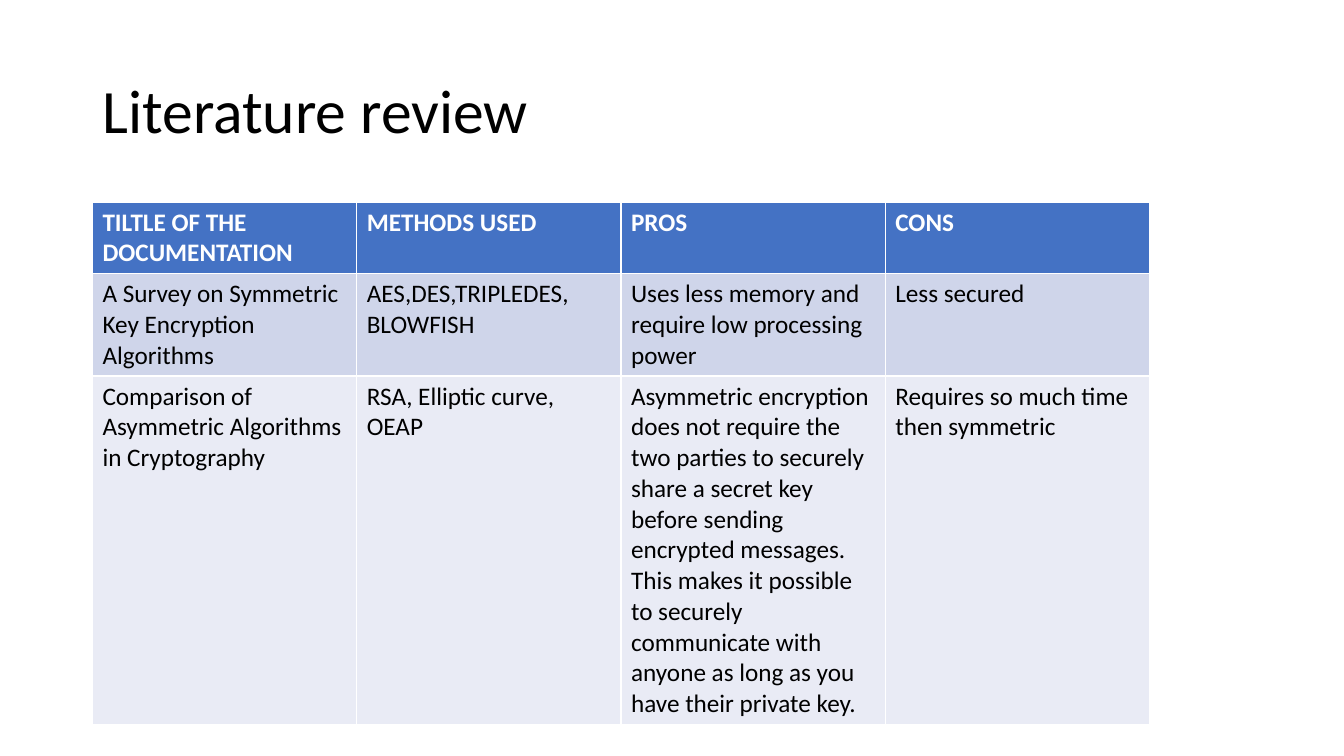
from pptx import Presentation
from pptx.dml.color import RGBColor
from pptx.enum.text import MSO_ANCHOR, MSO_AUTO_SIZE, PP_ALIGN
from pptx.util import Cm, Pt

LEFT, MIDDLE, NO_FIT = PP_ALIGN.LEFT, MSO_ANCHOR.MIDDLE, MSO_AUTO_SIZE.NONE
TITLE_ONLY = 5
FONT = "Calibri"
BLACK, WHITE, HEADER_FILL = "000000", "FFFFFF", "4472C4"
BAND_FILLS = ("CFD5EA", "E9EBF5")

REVIEW = [
    ["TILTLE OF THE DOCUMENTATION", "METHODS USED", "PROS", "CONS"],
    ["A Survey on Symmetric Key Encryption Algorithms",
     "AES,DES,TRIPLEDES,\nBLOWFISH",
     "Uses less memory and require low processing power",
     "Less secured"],
    ["Comparison of Asymmetric Algorithms in Cryptography",
     "RSA, Elliptic curve, OEAP",
     "Asymmetric encryption does not require the two parties to securely "
     "share a secret key before sending encrypted messages.  This makes it "
     "possible to securely communicate with anyone as long as you have "
     "their private key.",
     "Requires so much time then symmetric"],
]


def rgb(color):
    return RGBColor.from_string(color)


def write(tf, text, color, **font):
    """Fill a text frame, one paragraph per line, with the given font values."""
    tf.text = text
    for p in tf.paragraphs:
        for r in p.runs:
            r.font.color.rgb = rgb(color)
            for name, value in {"name": FONT, **font}.items():
                setattr(r.font, name, value)


def add_title(s, text, left, top, width, height):
    sp = s.shapes.title
    sp.left, sp.top, sp.width, sp.height = left, top, width, height
    tf = sp.text_frame
    write(tf, text, BLACK, size=Pt(44))
    tf.auto_size, tf.vertical_anchor = NO_FIT, MIDDLE
    p = tf.paragraphs[0]
    p.alignment, p.line_spacing = LEFT, 0.9


def add_review_table(s, rows, left, top, width, row_height):
    """Add a banded table with equal columns; rows grow with their text."""
    table = s.shapes.add_table(len(rows), len(rows[0]), left, top, width,
                               row_height * len(rows)).table
    for i, row in enumerate(rows):
        header = i == 0
        fill = HEADER_FILL if header else BAND_FILLS[(i - 1) % 2]
        for j, text in enumerate(row):
            cell = table.cell(i, j)
            cell.fill.solid()
            cell.fill.fore_color.rgb = rgb(fill)
            write(cell.text_frame, text, WHITE if header else BLACK,
                  size=Pt(18), bold=header)


def main():
    prs = Presentation()
    prs.slide_width, prs.slide_height = Cm(33.87), Cm(19.05)
    s = prs.slides.add_slide(prs.slide_layouts[TITLE_ONLY])
    left = Cm(2.33)
    add_title(s, "Literature review", left, Cm(1.01), Cm(29.21), Cm(3.68))
    add_review_table(s, REVIEW, left, Cm(5.09), Cm(26.64), Cm(1.03))
    prs.save("out.pptx")


if __name__ == "__main__":
    main()
